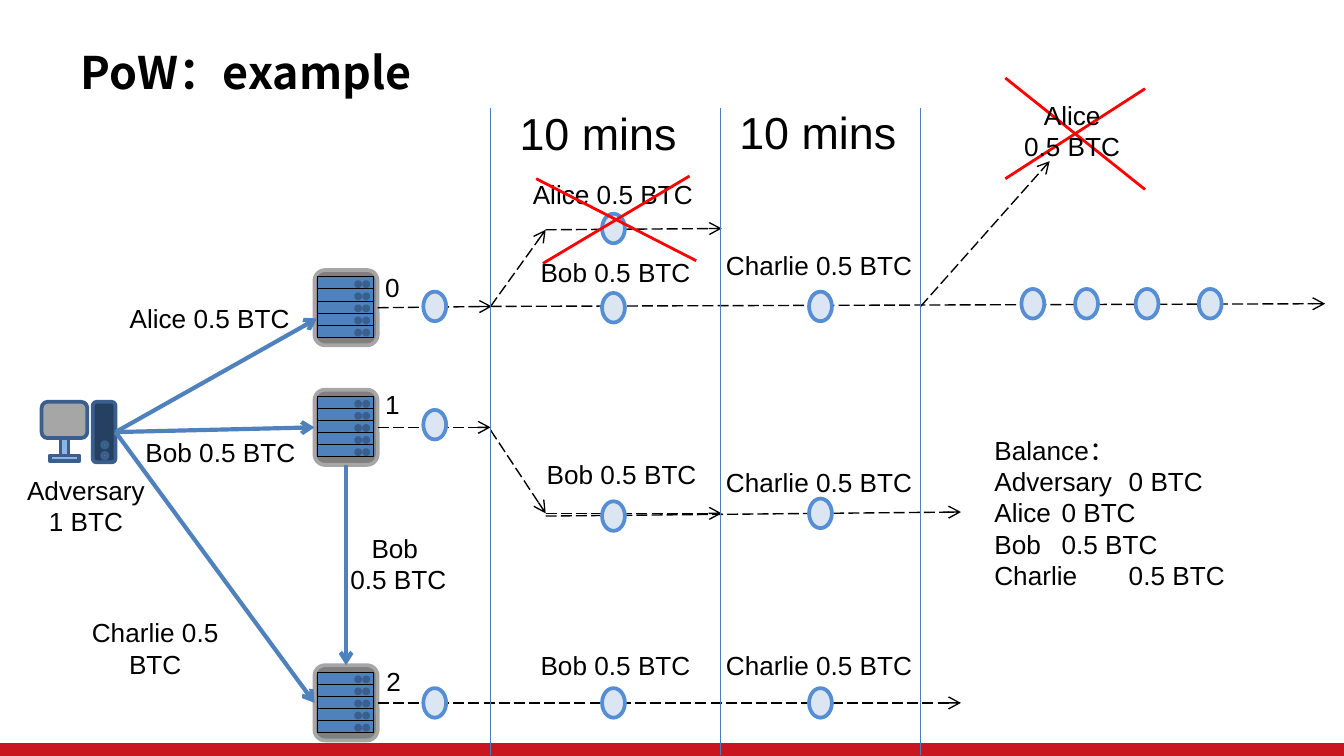
from dataclasses import dataclass

from pptx import Presentation
from pptx.dml.color import RGBColor
from pptx.enum.dml import MSO_LINE
from pptx.enum.shapes import MSO_CONNECTOR as Link, MSO_SHAPE as Shape
from pptx.enum.text import MSO_ANCHOR as Anchor, PP_ALIGN as Align
from pptx.oxml.ns import qn
from pptx.oxml.xmlchemy import OxmlElement
from pptx.util import Emu, Pt

PX = 9144  # 100 px to the inch
TOP, LEFT, BOTTOM, RIGHT = range(4)


@dataclass(frozen=True)
class Theme:
    font: str = "Arial"
    cjk_font: str = "Noto Sans CJK SC"
    label: int = 14
    heading: int = 24
    ink: str = "000000"
    footer: str = "C9151E"
    cross: str = "FF0000"
    blue: str = "4F81BD"
    divider: str = "4B7EBC"
    device_line: str = "3A5F8C"
    rack: str = "808080"
    rack_line: str = "A6A6A6"
    screen: str = "A6A6A6"
    tower: str = "254061"
    stand: str = "8EB4E3"
    red_light: str = "C0504D"
    green_light: str = "00B050"
    block: str = "DCE6F2"
    block_line: str = "558ED5"


def px(*lengths):
    return [Emu(length * PX) for length in lengths]


def write(frame, text, *, size, color, font, cjk_font, bold=False,
          align=Align.CENTER, anchor=Anchor.TOP, wrap=True, tabs=()):
    frame.word_wrap = wrap
    frame.vertical_anchor = anchor
    for index, line in enumerate(text.split("\n")):
        paragraph = frame.add_paragraph() if index else frame.paragraphs[0]
        paragraph.alignment = align
        if tabs:
            stops = OxmlElement("a:tabLst")
            for position in tabs:
                stop = OxmlElement("a:tab")
                stop.set("pos", str(position * PX))
                stop.set("algn", "l")
                stops.append(stop)
            paragraph._p.get_or_add_pPr().append(stops)
        run = paragraph.add_run()
        run.text = line
        run.font.size = Pt(size)
        run.font.bold = bold
        run.font.color.rgb = RGBColor.from_string(color)
        run.font.name = font
        east_asian = OxmlElement("a:ea")
        east_asian.set("typeface", cjk_font)
        run._r.get_or_add_rPr().append(east_asian)


class Canvas:
    """Holds the theme and the current slide."""

    def __init__(self, slide, theme):
        self.shapes = slide.shapes
        self.theme = theme

    def text(self, box, words, **options):
        style = dict(size=self.theme.label, color=self.theme.ink,
                     font=self.theme.font, cjk_font=self.theme.cjk_font)
        frame = self.shapes.add_textbox(*px(*box)).text_frame
        write(frame, words, **{**style, **options})

    def shape(self, kind, box, fill, line=None, weight=2):
        figure = self.shapes.add_shape(kind, *px(*box))
        figure.shadow.inherit = False
        figure.fill.solid()
        figure.fill.fore_color.rgb = RGBColor.from_string(fill)
        if line:
            figure.line.color.rgb = RGBColor.from_string(line)
            figure.line.width = Pt(weight)
        else:
            figure.line.fill.background()
        return figure

    def line(self, start, end, color, weight, *, dashed=False, arrow=False,
             begin=None, finish=None):
        """begin and finish are (shape, side) pairs to join to."""
        connector = self.shapes.add_connector(Link.STRAIGHT, *px(*start, *end))
        connector.line.color.rgb = RGBColor.from_string(color)
        connector.line.width = Pt(weight)
        if dashed:
            connector.line.dash_style = MSO_LINE.LONG_DASH
        properties = connector._element.spPr
        if arrow:
            head = OxmlElement("a:tailEnd")
            head.set("type", "arrow")
            properties.find(qn("a:ln")).append(head)
        properties.append(OxmlElement("a:effectLst"))
        if begin:
            connector.begin_connect(*begin)
        if finish:
            connector.end_connect(*finish)

    def message(self, start, end, **joins):
        self.line(start, end, self.theme.blue, 2.25, arrow=True, **joins)

    def chain(self, start, end, **joins):
        self.line(start, end, self.theme.ink, 0.75, dashed=True, arrow=True, **joins)

    def cross(self, *strokes):
        for start, end in strokes:
            self.line(start, end, self.theme.cross, 1.5)

    def block(self, left, top):
        self.shape(Shape.OVAL, (left, top, 17, 22), self.theme.block,
                   self.theme.block_line)

    def server(self, left, top):
        look = self.theme
        body = self.shape(Shape.ROUNDED_RECTANGLE, (left, top, 47, 56),
                          look.rack, look.rack_line)
        rows = range(0, 45, 9)
        for row in rows:
            self.shape(Shape.RECTANGLE, (left + 2, top + 5 + row, 42, 9),
                       look.blue, look.ink, 0.5)
        for row in rows:
            for offset, light in ((37, look.red_light), (31, look.green_light)):
                self.shape(Shape.OVAL, (left + offset, top + 9 + row, 3, 3),
                           light, look.device_line)
        return body

    def computer(self):
        """Draws the adversary's computer and returns its tower."""
        look = self.theme
        parts = (
            (Shape.ROUNDED_RECTANGLE, (31, 299, 34, 27), look.screen),
            (Shape.RECTANGLE, (45, 326, 6, 13), look.stand),
            (Shape.RECTANGLE, (37, 339, 22, 4), look.stand),
            (Shape.ROUNDED_RECTANGLE, (69, 299, 17, 45), look.tower),
            (Shape.OVAL, (76, 337, 4, 4), look.red_light),
            (Shape.OVAL, (76, 329, 4, 4), look.green_light),
        )
        drawn = [self.shape(*part, look.device_line) for part in parts]
        return drawn[3]


def build_slide(canvas):
    look = canvas.theme
    canvas.shape(Shape.RECTANGLE, (0, 553, 1000, 10), look.footer)
    canvas.text((50, 29, 696, 49), "PoW：example", size=look.heading, bold=True,
                font=look.cjk_font, align=Align.LEFT, anchor=Anchor.MIDDLE, wrap=False)
    canvas.cross(((748, 58), (852, 141)), ((748, 133), (852, 66)))

    server_0, server_1, server_2 = [canvas.server(234, top) for top in (201, 290, 495)]
    tower = canvas.computer()
    source = (86, 322)
    canvas.message((257, 346), (257, 495), begin=(server_1, BOTTOM), finish=(server_2, TOP))
    canvas.message(source, (236, 237), begin=(tower, RIGHT))
    canvas.message(source, (234, 318), begin=(tower, RIGHT), finish=(server_1, LEFT))
    canvas.message(source, (234, 523), begin=(tower, RIGHT), finish=(server_2, LEFT))

    canvas.chain((281, 229), (366, 228), begin=(server_0, RIGHT))
    canvas.chain((281, 318), (365, 318), begin=(server_1, RIGHT))
    canvas.chain((281, 523), (715, 523), begin=(server_2, RIGHT))
    for start, end in (
        ((365, 228), (406, 171)), ((406, 171), (537, 170)),
        ((365, 320), (406, 382)), ((406, 382), (537, 382)),
        ((365, 228), (986, 226)), ((406, 384), (715, 381)),
        ((685, 228), (781, 120)),
    ):
        canvas.chain(start, end)

    block_columns = {
        315: (217, 305, 512),
        448: (159, 218, 373, 512),
        602: (217, 371, 512),
        760: (215,), 800: (215,), 845: (215,), 892: (215,),
    }
    for left, tops in block_columns.items():
        for top in tops:
            canvas.block(left, top)

    for x in (365, 536, 685):
        canvas.line((x, 80), (x, 562), look.divider, 0.75)
    for box in ((373, 74, 144, 50), (532, 73, 153, 50)):
        canvas.text(box, "10 mins", size=look.heading)

    for box, words in (
        ((77, 220, 158, 34), "Alice 0.5 BTC"),
        ((85, 320, 158, 34), "Bob 0.5 BTC"),
        ((37, 454, 157, 57), "Charlie 0.5 BTC"),
        ((10, 348, 108, 57), "Adversary\n1 BTC"),
        ((241, 391, 111, 57), "Bob \n0.5 BTC"),
        ((267, 197, 50, 34), "0"),
        ((267, 284, 50, 34), "1"),
        ((268, 490, 50, 34), "2"),
        ((377, 128, 158, 34), "Alice 0.5 BTC"),
        ((377, 186, 162, 34), "Bob 0.5 BTC"),
        ((390, 336, 145, 34), "Bob 0.5 BTC"),
        ((377, 478, 162, 34), "Bob 0.5 BTC"),
        ((522, 181, 175, 34), "Charlie 0.5 BTC"),
        ((522, 342, 175, 34), "Charlie 0.5 BTC"),
        ((522, 478, 175, 34), "Charlie 0.5 BTC"),
        ((724, 69, 153, 57), "Alice \n0.5 BTC "),
    ):
        canvas.text(box, words)
    canvas.text((730, 318, 195, 128),
                "Balance：\nAdversary \t0 BTC\nAlice\t0 BTC\nBob\t0.5 BTC\nCharlie\t0.5 BTC",
                align=Align.LEFT, tabs=(50, 100))
    canvas.cross(((399, 133), (518, 194)), ((404, 196), (513, 131)))


def main():
    deck = Presentation()
    deck.slide_width, deck.slide_height = Emu(9144000), Emu(5143500)
    build_slide(Canvas(deck.slides.add_slide(deck.slide_layouts[6]), Theme()))
    deck.save("out.pptx")


if __name__ == "__main__":
    main()
